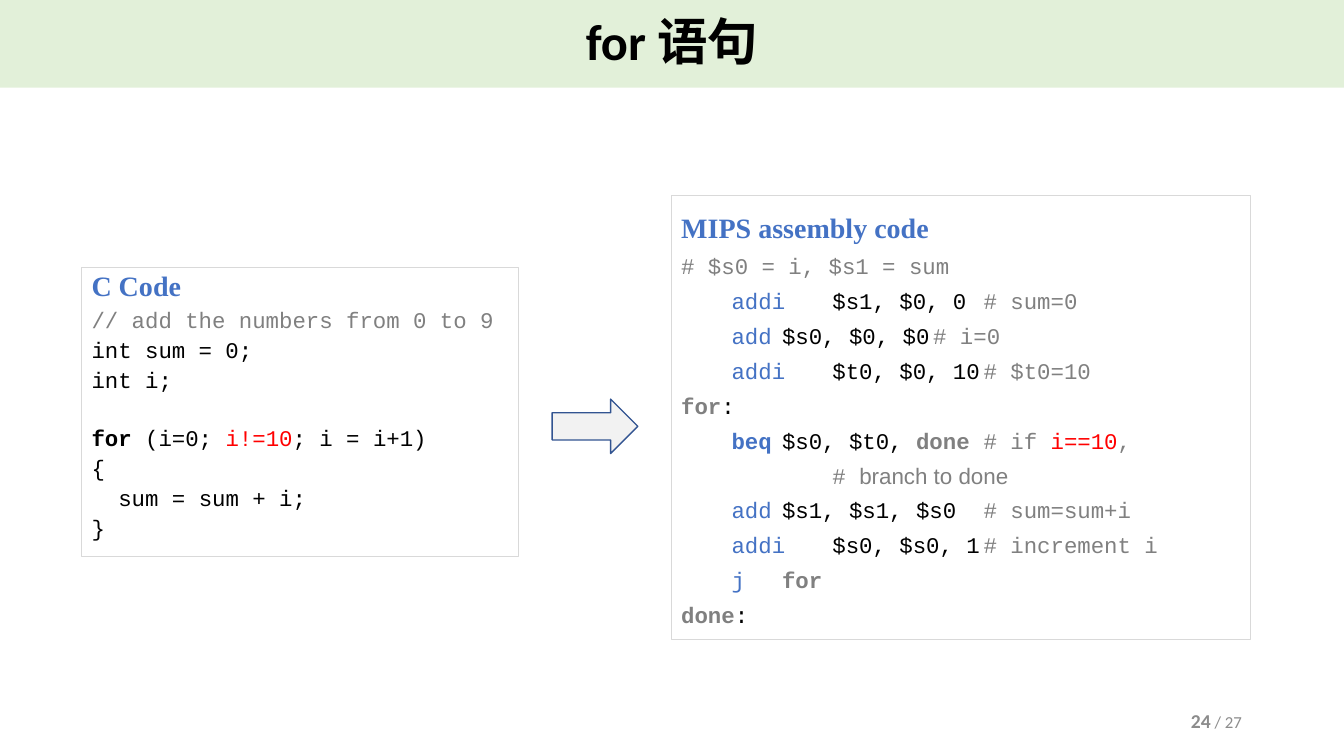
from dataclasses import dataclass
from typing import NamedTuple

from lxml.etree import SubElement
from pptx import Presentation
from pptx.dml.color import RGBColor
from pptx.enum.shapes import MSO_SHAPE
from pptx.enum.text import MSO_ANCHOR, MSO_AUTO_SIZE, PP_ALIGN
from pptx.oxml.ns import qn
from pptx.util import Pt


@dataclass(frozen=True)
class Theme:
    band: str = "E2F0D9"
    black: str = "000000"
    blue: str = "4472C4"
    gray: str = "808080"
    red: str = "FF0000"
    page: str = "8C8C8C"
    border: str = "D9D9D9"
    arrow_fill: str = "F2F2F2"
    arrow_line: str = "325491"
    sans: str = "Calibri"
    serif: str = "Times New Roman"
    mono: str = "Courier New"
    note: str = "Arial"
    title_size: float = 36
    heading_size: float = 20
    code_size: float = 16
    page_size: float = 14
    total_size: float = 12


THEME = Theme()


class Span(NamedTuple):
    text: str
    color: str = THEME.black
    bold: bool = False
    font: str = THEME.mono
    size: float = THEME.code_size


class Line(NamedTuple):
    spans: list[Span]
    before: float = 0
    indent: float = 0


class Panel(NamedTuple):
    left: float
    top: float
    width: float
    height: float
    spacing: float
    tab_stops: tuple[float, ...]
    lines: list[Line]


def heading(text: str) -> Line:
    return Line([Span(text, THEME.blue, True, THEME.serif, THEME.heading_size)])


def c_line(*spans: Span, before: float = 4.2, indent: float = 0) -> Line:
    return Line(list(spans), before, indent)


def label(name: str) -> Line:
    return Line([Span(name, THEME.gray, True), Span(":")])


def instruction(opcode: str, operands: str, remark: str) -> Line:
    return Line([Span(f"\t{opcode}", THEME.blue), Span(f"\t{operands}\t"),
                 Span(remark, THEME.gray)])


def apply_font(font, span: Span) -> None:
    font.name, font.size, font.bold = span.font, Pt(span.size), span.bold
    font.color.rgb = RGBColor.from_string(span.color)


def write_line(paragraph, spans: list[Span]) -> None:
    uniform = len({span[1:] for span in spans}) == 1
    if uniform:
        apply_font(paragraph.font, spans[0])
    for span in spans:
        run = paragraph.add_run()
        run.text = span.text
        if not uniform:
            apply_font(run.font, span)


def set_layout(paragraph, indent: float, tab_stops: tuple[float, ...]) -> None:
    properties = paragraph._p.get_or_add_pPr()
    properties.set("marL", str(Pt(indent)))
    properties.set("indent", "0")
    if tab_stops:
        stops = SubElement(properties, qn("a:tabLst"))
        for position in tab_stops:
            SubElement(stops, qn("a:tab"), pos=str(Pt(position)), algn="l")


def draw_panel(slide, panel: Panel) -> None:
    box = slide.shapes.add_shape(MSO_SHAPE.RECTANGLE, *map(Pt, panel[:4]))
    box.shadow.inherit = False
    box.fill.background()
    box.line.color.rgb = RGBColor.from_string(THEME.border)
    box.line.width = Pt(0.75)
    frame = box.text_frame
    frame.word_wrap = True
    frame.vertical_anchor = MSO_ANCHOR.TOP
    for number, line in enumerate(panel.lines):
        paragraph = frame.add_paragraph() if number else frame.paragraphs[0]
        paragraph.alignment = PP_ALIGN.LEFT
        paragraph.line_spacing = panel.spacing
        paragraph.space_before = Pt(line.before)
        set_layout(paragraph, line.indent, panel.tab_stops)
        write_line(paragraph, line.spans)


def draw_title(slide, text: str) -> None:
    title = slide.shapes.title
    title.left, title.top, title.width, title.height = map(Pt, (0, 0, 960, 62.6))
    title.fill.solid()
    title.fill.fore_color.rgb = RGBColor.from_string(THEME.band)
    frame = title.text_frame
    frame.auto_size = MSO_AUTO_SIZE.NONE
    frame.vertical_anchor = MSO_ANCHOR.MIDDLE
    paragraph = frame.paragraphs[0]
    paragraph.alignment = PP_ALIGN.CENTER
    paragraph.line_spacing = 0.9
    write_line(paragraph, [Span(text, THEME.black, True, THEME.sans, THEME.title_size)])


def draw_arrow(slide) -> None:
    arrow = slide.shapes.add_shape(MSO_SHAPE.RIGHT_ARROW, *map(Pt, (394.4, 285.1, 61.2, 38.9)))
    arrow.shadow.inherit = False
    arrow.fill.solid()
    arrow.fill.fore_color.rgb = RGBColor.from_string(THEME.arrow_fill)
    arrow.line.color.rgb = RGBColor.from_string(THEME.arrow_line)
    arrow.line.width = Pt(1)


def draw_page_number(slide, page: str, total: str) -> None:
    frame = slide.shapes.add_textbox(*map(Pt, (678.2, 500.4, 216, 28.8))).text_frame
    frame.word_wrap = True
    frame.vertical_anchor = MSO_ANCHOR.MIDDLE
    paragraph = frame.paragraphs[0]
    paragraph.alignment = PP_ALIGN.RIGHT
    write_line(paragraph, [Span(page, THEME.page, True, THEME.sans, THEME.page_size),
                           Span(f" / {total}", THEME.page, False, THEME.sans, THEME.total_size)])


C_CODE = Panel(58.3, 191.2, 311.8, 206.2, 0.9, (), [
    heading("C Code"),
    c_line(Span("// add the numbers from 0 to 9", THEME.gray)),
    c_line(Span("int sum = 0;")),
    c_line(Span("int i;")),
    c_line(Span("for", bold=True), Span(" (i=0; "), Span("i!=10", THEME.red),
           Span("; i = i+1)"), before=24.7),
    c_line(Span("{")),
    c_line(Span("sum = sum + i;"), indent=19.2),
    c_line(Span("}")),
])

# Tab stops: opcode, operands, remark
MIPS_CODE = Panel(479.5, 139.6, 414, 317.3, 1.3, (28.8, 76.8, 243), [
    heading("MIPS assembly code"),
    Line([Span("# $s0 = i, $s1 = sum", THEME.gray)]),
    instruction("addi", "$s1, $0, 0", "# sum=0"),
    instruction("add", "$s0, $0, $0", "# i=0"),
    instruction("addi", "$t0, $0, 10", "# $t0=10"),
    label("for"),
    Line([Span("\tbeq", THEME.blue, True), Span("\t$s0, $t0, "),
          Span("done\t", THEME.gray, True), Span("# if ", THEME.gray),
          Span("i==10", THEME.red), Span(",", THEME.gray)]),
    Line([Span("\t\t\t# ", THEME.gray),
          Span("branch to done", THEME.gray, font=THEME.note)]),
    instruction("add", "$s1, $s1, $s0", "# sum=sum+i"),
    instruction("addi", "$s0, $s0, 1", "# increment i"),
    Line([Span("\tj", THEME.blue), Span("\tfor", THEME.gray, True)]),
    label("done"),
])


def main() -> None:
    presentation = Presentation()
    presentation.slide_width, presentation.slide_height = Pt(960), Pt(540)
    slide = presentation.slides.add_slide(presentation.slide_layouts[5])
    draw_title(slide, "for 语句")
    for panel in (C_CODE, MIPS_CODE):
        draw_panel(slide, panel)
    draw_arrow(slide)
    draw_page_number(slide, "24", "27")
    presentation.save("out.pptx")


if __name__ == "__main__":
    main()
